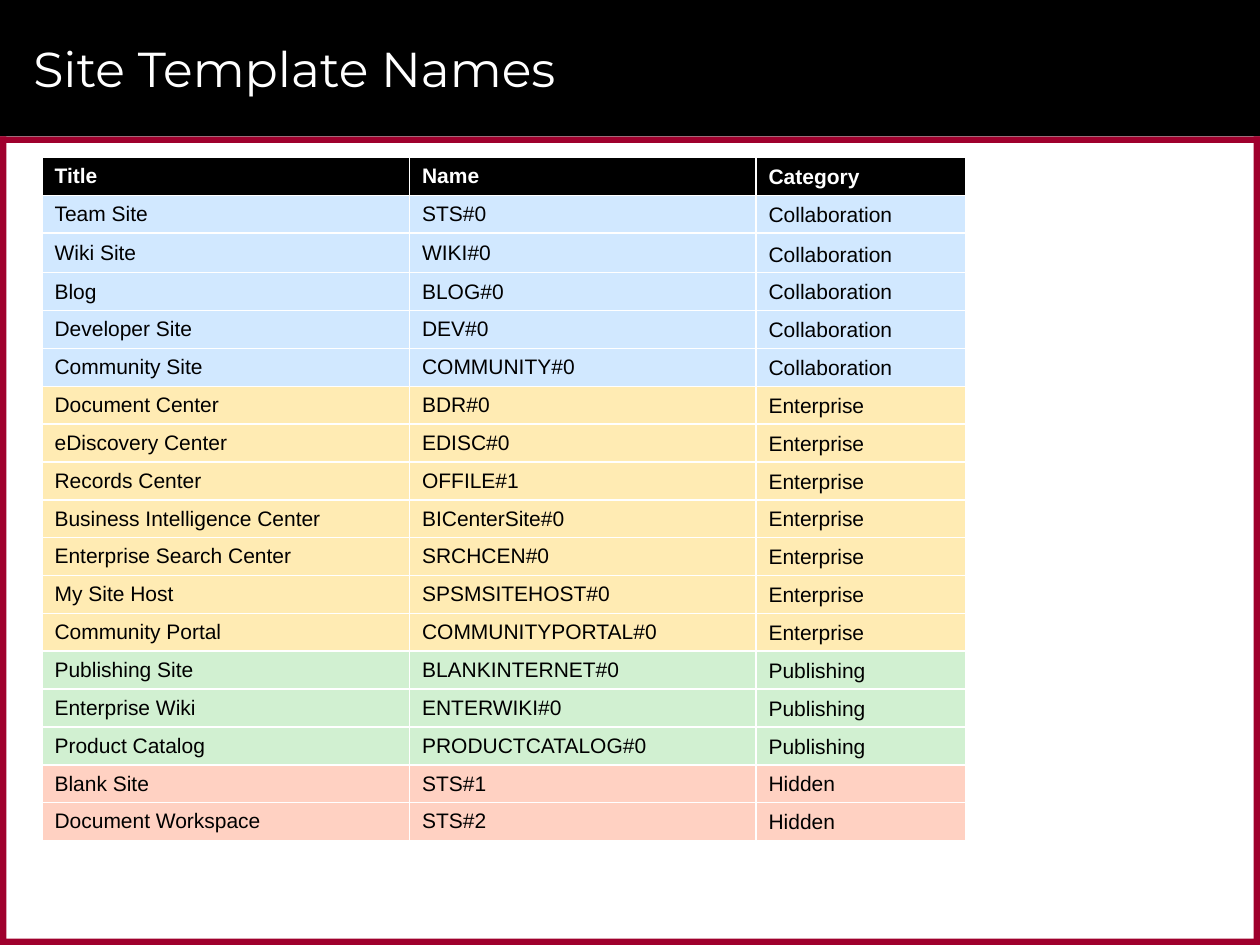
from lxml import etree
from pptx import Presentation
from pptx.dml.color import RGBColor
from pptx.enum import shapes, text
from pptx.oxml.ns import qn
from pptx.util import Pt

BLACK = RGBColor(0x00, 0x00, 0x00)
WHITE = RGBColor(0xFF, 0xFF, 0xFF)
RED = RGBColor(0x9F, 0x00, 0x2D)
BLUE = RGBColor(0xD1, 0xE8, 0xFF)
GOLD = RGBColor(0xFF, 0xEB, 0xB3)
GREEN = RGBColor(0xD1, 0xF0, 0xD1)
PINK = RGBColor(0xFF, 0xD1, 0xC2)

GROUPS = [
    ("Collaboration", BLUE, [
        ("Team Site", "STS#0"),
        ("Wiki Site", "WIKI#0"),
        ("Blog", "BLOG#0"),
        ("Developer Site", "DEV#0"),
        ("Community Site", "COMMUNITY#0"),
    ]),
    ("Enterprise", GOLD, [
        ("Document Center", "BDR#0"),
        ("eDiscovery Center", "EDISC#0"),
        ("Records Center", "OFFILE#1"),
        ("Business Intelligence Center", "BICenterSite#0"),
        ("Enterprise Search Center", "SRCHCEN#0"),
        ("My Site Host", "SPSMSITEHOST#0"),
        ("Community Portal", "COMMUNITYPORTAL#0"),
    ]),
    ("Publishing", GREEN, [
        ("Publishing Site", "BLANKINTERNET#0"),
        ("Enterprise Wiki", "ENTERWIKI#0"),
        ("Product Catalog", "PRODUCTCATALOG#0"),
    ]),
    ("Hidden", PINK, [
        ("Blank Site", "STS#1"),
        ("Document Workspace", "STS#2"),
    ]),
]


def style(run, font, size, color, bold=False):
    run.font.name = font
    run.font.size = Pt(size)
    run.font.color.rgb = color
    run.font.bold = bold


def border(cell):
    props = cell._tc.get_or_add_tcPr()
    for side in ("lnL", "lnR", "lnT", "lnB"):
        line = etree.SubElement(props, qn("a:" + side), w=str(Pt(1)))
        fill = etree.SubElement(line, qn("a:solidFill"))
        etree.SubElement(fill, qn("a:srgbClr"), val=str(WHITE))


deck = Presentation()
deck.slide_width, deck.slide_height = Pt(720), Pt(540)
slide = deck.slides.add_slide(deck.slide_layouts[6])

# Header band and red frame
HEAD, EDGE = 78, 3.6
bars = [
    (0, 0, 720, HEAD, BLACK),
    (0, HEAD, 720, EDGE, RED),
    (0, 540 - EDGE, 720, EDGE, RED),
    (720 - EDGE, HEAD, EDGE, 540 - HEAD, RED),
    (0, HEAD, EDGE, 540 - HEAD, RED),
]
for left, top, wide, high, color in bars:
    bar = slide.shapes.add_shape(
        shapes.MSO_SHAPE.RECTANGLE, Pt(left), Pt(top), Pt(wide), Pt(high))
    bar.shadow.inherit = False
    bar.fill.solid()
    bar.fill.fore_color.rgb = color
    bar.line.fill.background()

# Title
frame = slide.shapes.add_textbox(Pt(12), Pt(6), Pt(678), Pt(66)).text_frame
frame.word_wrap = True
frame.vertical_anchor = text.MSO_ANCHOR.MIDDLE
frame.text = "Site Template Names"
style(frame.paragraphs[0].runs[0], "Montserrat", 28, WHITE)

# Site template table
rows = [("Title", "Name", "Category", BLACK)]
for kind, color, sites in GROUPS:
    rows += [(site, name, kind, color) for site, name in sites]

WIDTHS = (210, 198, 120)
ROW, TALL = 20.65, 22.6
table = slide.shapes.add_table(
    len(rows), len(WIDTHS), Pt(24), Pt(90), Pt(sum(WIDTHS)),
    Pt(ROW * (len(rows) - 1) + TALL)).table
for col, wide in zip(table.columns, WIDTHS):
    col.width = Pt(wide)

for r, (*words, color) in enumerate(rows):
    table.rows[r].height = Pt(TALL if r == 2 else ROW)
    for c, word in enumerate(words):
        cell = table.cell(r, c)
        cell.text = word
        cell.margin_left, cell.margin_right = Pt(7.2), Pt(0.72)
        cell.margin_top = cell.margin_bottom = Pt(3.6)
        cell.vertical_anchor = (
            text.MSO_ANCHOR.BOTTOM if c == 2 else text.MSO_ANCHOR.MIDDLE)
        border(cell)
        cell.fill.solid()
        cell.fill.fore_color.rgb = color
        run = cell.text_frame.paragraphs[0].runs[0]
        style(run, "Arial", 12, WHITE if r == 0 else BLACK, r == 0)

deck.save("out.pptx")
